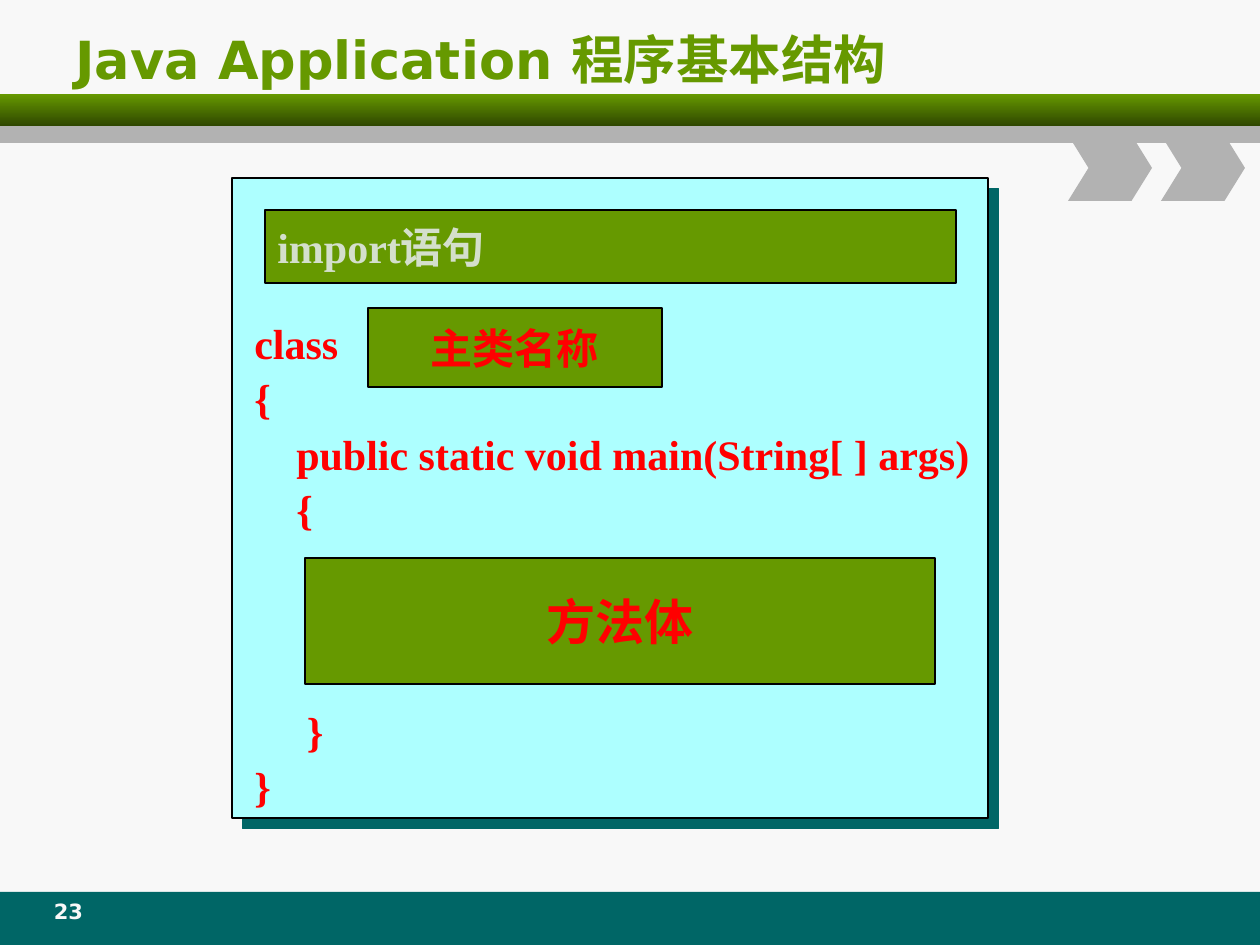
"""Builds the slide on the basic structure of a Java application."""
from dataclasses import dataclass
from typing import Optional

from lxml import etree
from pptx import Presentation
from pptx.dml.color import RGBColor
from pptx.enum.shapes import MSO_SHAPE
from pptx.enum.text import MSO_ANCHOR, PP_ALIGN
from pptx.oxml.ns import qn
from pptx.util import Emu, Pt

RECTANGLE, CHEVRON = MSO_SHAPE.RECTANGLE, MSO_SHAPE.CHEVRON
LEFT, CENTER = PP_ALIGN.LEFT, PP_ALIGN.CENTER
TOP, MIDDLE = MSO_ANCHOR.TOP, MSO_ANCHOR.MIDDLE

GREEN = RGBColor(0x66, 0x99, 0x00)
DARK_GREEN = RGBColor(0x2F, 0x47, 0x00)
TEAL = RGBColor(0x00, 0x66, 0x66)
GREY = RGBColor(0xB2, 0xB2, 0xB2)
CYAN = RGBColor(0xAD, 0xFF, 0xFF)
PALE = RGBColor(0xD4, 0xDF, 0xCC)
RED = RGBColor(0xFF, 0x00, 0x00)
BLACK = RGBColor(0x00, 0x00, 0x00)
PAPER = RGBColor(0xF8, 0xF8, 0xF8)

SANS, SERIF = "DejaVu Sans", "Times New Roman"
EMU_PER_PX = 914400 / 126
CODE_GAP = Pt(95)


@dataclass(frozen=True)
class Area:
    left: int
    top: int
    width: int
    height: int

    def emu(self) -> list[Emu]:
        return [Emu(round(length * EMU_PER_PX))
                for length in (self.left, self.top, self.width, self.height)]


@dataclass(frozen=True)
class Style:
    size: int
    color: RGBColor
    font: str = SERIF
    align: PP_ALIGN = LEFT
    anchor: MSO_ANCHOR = TOP
    spacing: Optional[float] = None


@dataclass(frozen=True)
class Slot:
    area: Area
    text: str
    style: Style


CODE = Style(24, RED, spacing=1.1)
CODE_LINES = (
    "class",
    "{",
    "    public static void main(String[ ] args)",
    "    {",
    "     }",
    "}",
)
SLOTS = (
    Slot(Area(265, 210, 691, 73), "import语句", Style(24, PALE, anchor=MIDDLE)),
    Slot(Area(368, 308, 294, 79), "主类名称",
         Style(24, RED, align=CENTER, anchor=MIDDLE)),
    Slot(Area(305, 558, 630, 126), "方法体",
         Style(28, RED, align=CENTER, anchor=MIDDLE)),
)


def add_block(page, area: Area, fill: RGBColor, outlined: bool = False,
              kind: MSO_SHAPE = RECTANGLE):
    """Draw a flat filled shape."""
    block = page.shapes.add_shape(kind, *area.emu())
    block.shadow.inherit = False
    block.fill.solid()
    block.fill.fore_color.rgb = fill
    if outlined:
        block.line.color.rgb = BLACK
        block.line.width = Pt(0.75)
    else:
        block.line.fill.background()
    return block


def write(shape, lines: tuple[str, ...], style: Style) -> None:
    """Fill a shape with one paragraph for each line."""
    frame = shape.text_frame
    frame.word_wrap = True
    frame.vertical_anchor = style.anchor
    for index, line in enumerate(lines):
        para = frame.paragraphs[0] if index == 0 else frame.add_paragraph()
        para.text = line
        para.alignment = style.align
        if style.spacing:
            para.line_spacing = style.spacing
        para.font.name = style.font
        para.font.size = Pt(style.size)
        para.font.bold = True
        para.font.color.rgb = style.color


def add_text(page, area: Area, lines: tuple[str, ...], style: Style):
    """Place a text box."""
    box = page.shapes.add_textbox(*area.emu())
    write(box, lines, style)
    return box


def add_hard_shadow(shape, color: RGBColor) -> None:
    """Give a shape an opaque shadow down to the right."""
    effects = shape._element.spPr.find(qn("a:effectLst"))
    shadow = etree.SubElement(effects, qn("a:outerShdw"), dist=str(Pt(8.5)),
                              dir="2700000", algn="ctr", rotWithShape="0")
    etree.SubElement(shadow, qn("a:srgbClr"), val=str(color))


def add_frame(page) -> None:
    """Draw the bands, chevrons, title and page number."""
    add_block(page, Area(0, 892, 1260, 53), TEAL)
    band = add_block(page, Area(0, 94, 1260, 32), GREEN)
    band.fill.gradient()
    band.fill.gradient_angle = 270
    for stop, color, position in zip(band.fill.gradient_stops,
                                     (GREEN, DARK_GREEN), (0, 1)):
        stop.color.rgb = color
        stop.position = position
    add_block(page, Area(0, 126, 1260, 17), GREY)
    for left in (1068, 1161):
        chevron = add_block(page, Area(left, 135, 84, 66), GREY, kind=CHEVRON)
        chevron.adjustments[0] = 0.31
    add_text(page, Area(63, 21, 1134, 68), ("Java Application 程序基本结构",),
             Style(30, GREEN, SANS))
    add_text(page, Area(32, 892, 73, 42), ("23",),
             Style(12, PAPER, SANS, CENTER))


def add_program(page) -> None:
    """Draw the program card with its code and slots."""
    card = add_block(page, Area(232, 178, 756, 640), CYAN, outlined=True)
    add_hard_shadow(card, TEAL)
    code = add_text(page, Area(242, 306, 741, 517), CODE_LINES, CODE)
    code.text_frame.paragraphs[4].space_before = CODE_GAP
    for slot in SLOTS:
        block = add_block(page, slot.area, GREEN, outlined=True)
        write(block, (slot.text,), slot.style)


def main() -> None:
    deck = Presentation()
    deck.slide_width, deck.slide_height = Area(0, 0, 1260, 945).emu()[2:]
    page = deck.slides.add_slide(deck.slide_layouts[6])
    page.background.fill.solid()
    page.background.fill.fore_color.rgb = PAPER
    add_frame(page)
    add_program(page)
    deck.save("out.pptx")


if __name__ == "__main__":
    main()
